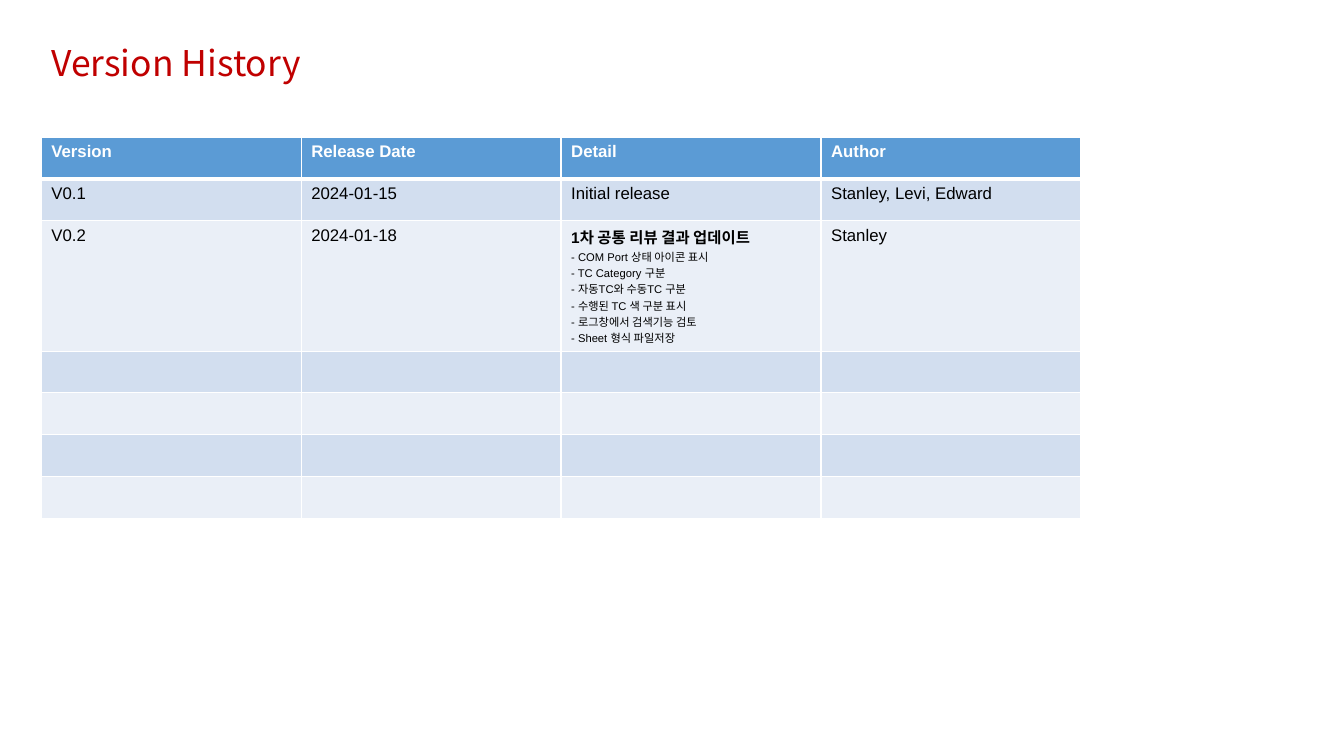
import pptx
import pptx.dml.color
import pptx.enum.text
import pptx.oxml
import pptx.oxml.ns
import pptx.util
from pptx.util import Cm

TITLE_BOX = (Cm(1.04), Cm(0.86), Cm(25.98), Cm(1.4))
TABLE_BOX = (Cm(1.04), Cm(3.46), Cm(26.2), Cm(7.37))
ROW_COUNT = 7
HEADER_FILL = "5B9BD5"
BAND_FILLS = ("EAEFF7", "D2DEEF")
BORDER_COLOR = "FFFFFF"
KOREAN_FONT = "Noto Sans CJK KR"

TITLE_FORMAT = {"size": pptx.util.Pt(25.3), "name": KOREAN_FONT, "bold": False}
HEADER_FORMAT = {"size": pptx.util.Pt(12), "name": "Arial", "bold": True}
BODY_FORMAT = {**HEADER_FORMAT, "bold": False}
DETAIL_HEADING_FORMAT = {**HEADER_FORMAT, "size": pptx.util.Pt(11)}
DETAIL_ITEM_FORMAT = {**BODY_FORMAT, "size": pptx.util.Pt(8)}

HEADINGS = ["Version", "Release Date", "Detail", "Author"]
DETAIL_LINES = [
    "1차 공통 리뷰 결과 업데이트",
    "- COM Port 상태 아이콘 표시",
    "- TC Category 구분",
    "- 자동TC와 수동TC 구분",
    "- 수행된 TC 색 구분 표시",
    "- 로그창에서 검색기능 검토",
    "- Sheet 형식 파일저장",
]
RELEASES = [
    ["V0.1", "2024-01-15", "Initial release", "Stanley, Levi, Edward"],
    ["V0.2", "2024-01-18", DETAIL_LINES, "Stanley"],
]


def color(value):
    return pptx.dml.color.RGBColor.from_string(value)


def set_attributes(target, values):
    for name, value in values.items():
        setattr(target, name, value)


def write_run(paragraph, text, font_format, font_color):
    run = paragraph.add_run()
    run.text = text
    run.font.color.rgb = color(font_color)
    set_attributes(run.font, font_format)
    properties = run.font._element
    east_asian = pptx.oxml.parse_xml(
        f'<a:ea {pptx.oxml.ns.nsdecls("a")} typeface="{KOREAN_FONT}"/>'
    )
    properties.append(east_asian)


def write_cell(cell, content, font_format, font_color):
    if isinstance(content, str):
        write_run(cell.text_frame.paragraphs[0], content, font_format, font_color)
        return
    for index, line in enumerate(content):
        frame = cell.text_frame
        paragraph = frame.add_paragraph() if index else frame.paragraphs[0]
        line_format = DETAIL_ITEM_FORMAT if index else DETAIL_HEADING_FORMAT
        write_run(paragraph, line, line_format, font_color)


def style_cell(cell, fill_color, row):
    widths = {"lnL": 1, "lnR": 1, "lnT": 3 if row == 1 else 1, "lnB": 3 if row == 0 else 1}
    properties = cell._tc.get_or_add_tcPr()
    for tag, width in widths.items():
        border = pptx.oxml.parse_xml(
            f'<a:{tag} {pptx.oxml.ns.nsdecls("a")} w="{pptx.util.Pt(width)}">'
            f'<a:solidFill><a:srgbClr val="{BORDER_COLOR}"/></a:solidFill></a:{tag}>'
        )
        properties.append(border)
    cell.fill.solid()
    cell.fill.fore_color.rgb = color(fill_color)


def add_title(slide, box):
    title = slide.shapes.title
    set_attributes(title, dict(zip(("left", "top", "width", "height"), box)))
    frame = title.text_frame
    set_attributes(frame, {
        "word_wrap": True,
        "auto_size": pptx.enum.text.MSO_AUTO_SIZE.NONE,
        "vertical_anchor": pptx.enum.text.MSO_ANCHOR.MIDDLE,
    })
    paragraph = frame.paragraphs[0]
    paragraph.alignment = pptx.enum.text.PP_ALIGN.LEFT
    write_run(paragraph, "Version History", TITLE_FORMAT, "C00000")


def add_history_table(slide, box):
    table = slide.shapes.add_table(ROW_COUNT, len(HEADINGS), *box).table
    contents = [HEADINGS, *RELEASES]
    for row in range(ROW_COUNT):
        fill_color = BAND_FILLS[row % 2] if row else HEADER_FILL
        font_format = BODY_FORMAT if row else HEADER_FORMAT
        font_color = "000000" if row else "FFFFFF"
        for column in range(len(HEADINGS)):
            cell = table.cell(row, column)
            style_cell(cell, fill_color, row)
            if row < len(contents):
                write_cell(cell, contents[row][column], font_format, font_color)


def main():
    presentation = pptx.Presentation()
    presentation.slide_width = Cm(33.87)
    presentation.slide_height = Cm(19.05)
    slide = presentation.slides.add_slide(presentation.slide_layouts[5])
    add_title(slide, TITLE_BOX)
    add_history_table(slide, TABLE_BOX)
    presentation.save("out.pptx")


if __name__ == "__main__":
    main()
